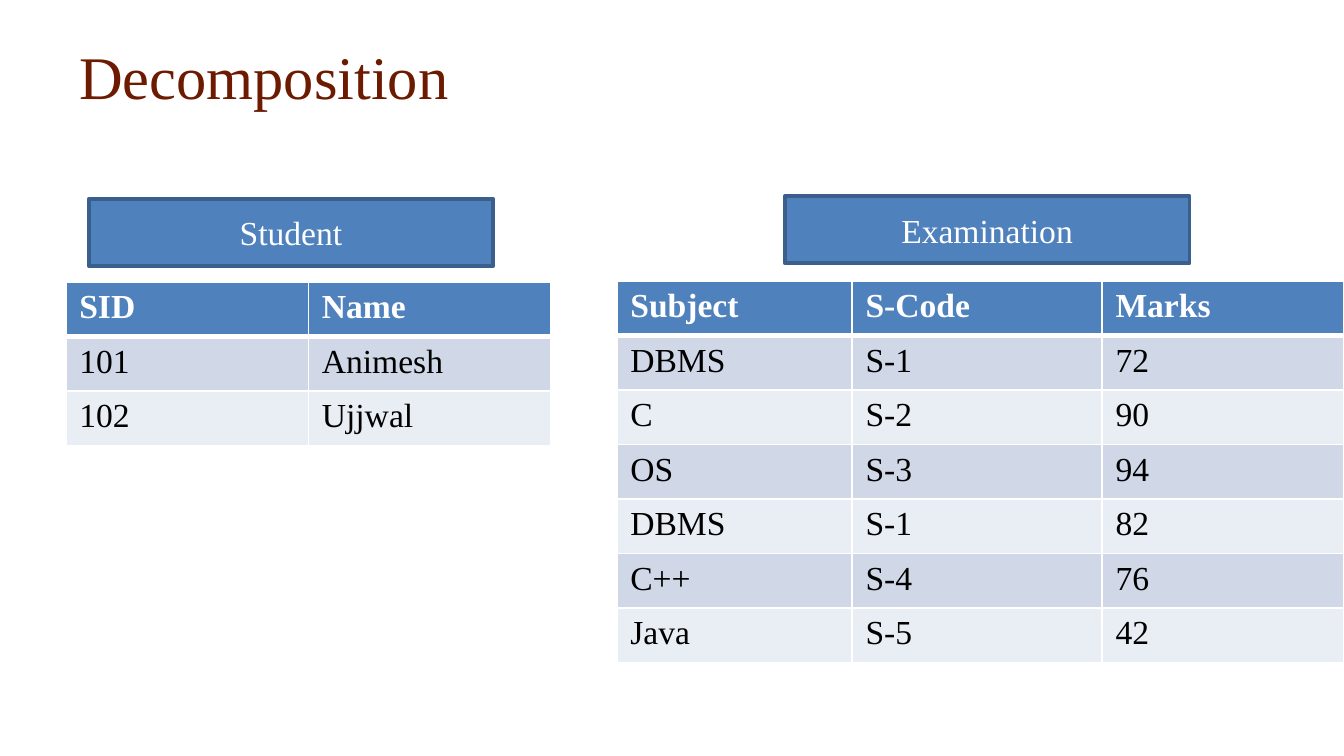
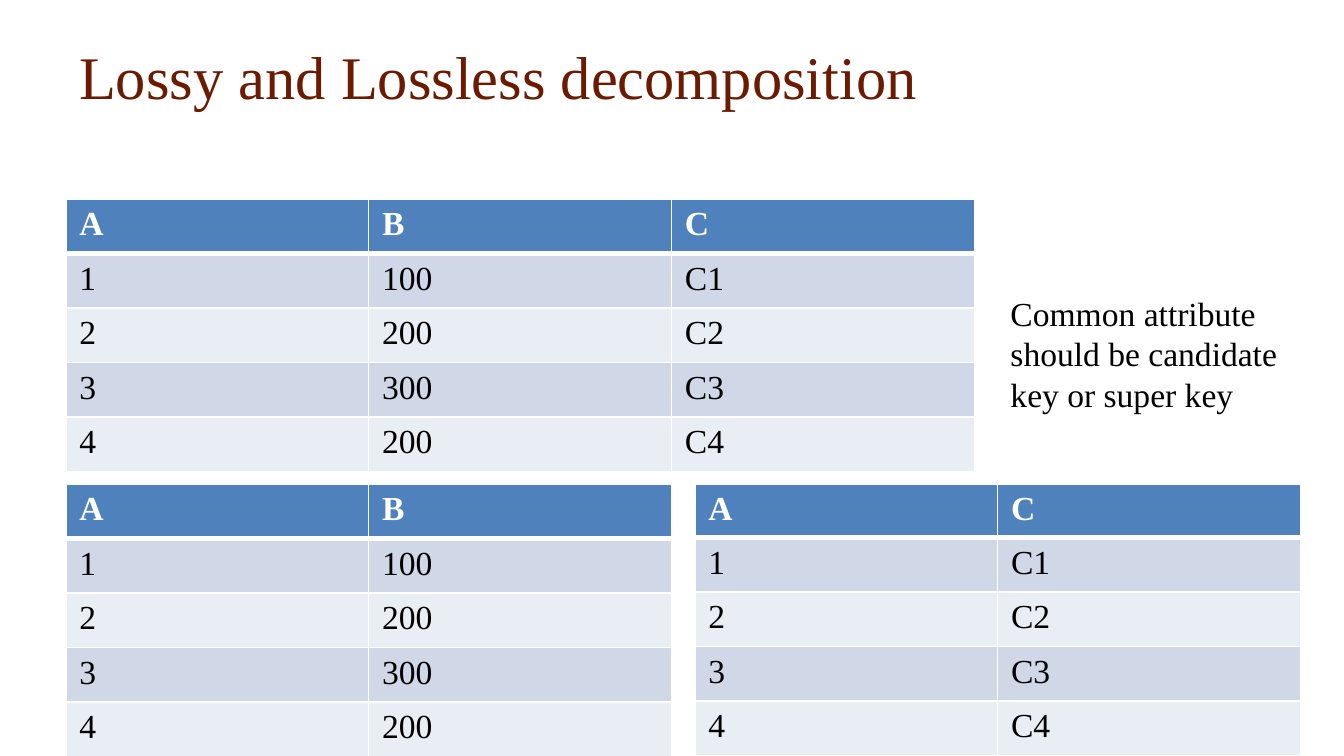
from lxml import etree
from pptx import Presentation
from pptx import util as u
from pptx.dml.color import RGBColor
from pptx.enum import shapes, text
from pptx.oxml.ns import qn

FONT = "Times New Roman"
BODY_SIZE = 18
WHITE, BLACK = "FFFFFF", "000000"
MAROON, BLUE, DARK_BLUE = "6C1A00", "4F81BD", "3A5F8C"
BANDS = ("D0D8E8", "E9EDF4")
SLIDE_WIDTH = 10
SLIDE_HEIGHT = SLIDE_WIDTH * 9 / 16
LEFT = 0.49
ROW_HEIGHT = 29.2 / 72

STUDENTS = [("SID", "Name"), ("101", "Animesh"), ("102", "Ujjwal")]
EXAMINATION = [
    ("Subject", "S-Code", "Marks"),
    ("DBMS", "S-1", "72"),
    ("C", "S-2", "90"),
    ("OS", "S-3", "94"),
    ("DBMS", "S-1", "82"),
    ("C++", "S-4", "76"),
    ("Java", "S-5", "42"),
]
RELATION = [
    ("A", "B", "C"),
    ("1", "100", "C1"),
    ("2", "200", "C2"),
    ("3", "300", "C3"),
    ("4", "200", "C4"),
]


def color(hex_code):
    return RGBColor.from_string(hex_code)


def box(left, top, width, height):
    return [u.Inches(length) for length in (left, top, width, height)]


def write(frame, words, ink, size=BODY_SIZE, bold=False, align=text.PP_ALIGN.LEFT):
    paragraph = frame.paragraphs[0]
    paragraph.alignment = align
    run = paragraph.add_run()
    run.text = words
    run.font.name = FONT
    run.font.size = u.Pt(size)
    run.font.bold = bold
    run.font.color.rgb = color(ink)


def add_text(slide, words, place, ink, size=BODY_SIZE, anchor=text.MSO_ANCHOR.TOP):
    frame = slide.shapes.add_textbox(*box(*place)).text_frame
    frame.word_wrap = True
    frame.vertical_anchor = anchor
    write(frame, words, ink, size)


def add_titled_slide(deck, title):
    slide = deck.slides.add_slide(deck.slide_layouts[6])
    add_text(slide, title, (LEFT, 0.14, 9.02, 0.84), MAROON, 32.4, text.MSO_ANCHOR.MIDDLE)
    return slide


def add_table_label(slide, name, left, top):
    label = slide.shapes.add_shape(shapes.MSO_SHAPE.RECTANGLE, *box(left, top, 3.01, 0.5))
    label.shadow.inherit = False
    label.fill.solid()
    label.fill.fore_color.rgb = color(BLUE)
    label.line.color.rgb = color(DARK_BLUE)
    label.line.width = u.Pt(2)
    label.text_frame.vertical_anchor = text.MSO_ANCHOR.MIDDLE
    write(label.text_frame, name, WHITE, align=text.PP_ALIGN.CENTER)


def set_borders(cell, top, bottom):
    properties = cell._tc.get_or_add_tcPr()
    for side, points in (("L", 1), ("R", 1), ("T", top), ("B", bottom)):
        border = etree.SubElement(properties, qn(f"a:ln{side}"), w=str(u.Pt(points)))
        fill = etree.SubElement(border, qn("a:solidFill"))
        etree.SubElement(fill, qn("a:srgbClr"), val=WHITE)


def add_relation(slide, rows, left, top, widths, header_height=ROW_HEIGHT):
    place = box(left, top, sum(widths), ROW_HEIGHT * len(rows))
    frame = slide.shapes.add_table(len(rows), len(widths), *place)
    table = frame.table
    for column, width in zip(table.columns, widths):
        column.width = u.Inches(width)
    for r, values in enumerate(rows):
        header = r == 0
        table.rows[r].height = u.Inches(header_height if header else ROW_HEIGHT)
        for c, value in enumerate(values):
            cell = table.cell(r, c)
            set_borders(cell, 3 if r == 1 else 1, 3 if header else 1)
            cell.fill.solid()
            cell.fill.fore_color.rgb = color(BLUE if header else BANDS[(r - 1) % 2])
            write(cell.text_frame, value, WHITE if header else BLACK, bold=header)
    frame.height = place[3]


def project(rows, *names):
    kept = [rows[0].index(name) for name in names]
    return [[row[i] for i in kept] for row in rows]


def build_decomposition(deck):
    slide = add_titled_slide(deck, "Decomposition")
    add_relation(slide, EXAMINATION, 4.59, 2.09, (1.75, 1.86, 1.8))
    add_table_label(slide, "Student", 0.66, 1.48)
    add_table_label(slide, "Examination", 5.84, 1.46)
    add_relation(slide, STUDENTS, LEFT, 2.1, [3.61 / 2] * 2)


def build_lossy_lossless(deck):
    slide = add_titled_slide(deck, "Lossy and Lossless decomposition")
    width = 6.76 / 3
    add_relation(slide, project(RELATION, "A", "B"), LEFT, 3.6, [width] * 2)
    add_relation(slide, project(RELATION, "A", "C"), 5.17, 3.6, [width] * 2, 0)
    add_text(slide, "Common attribute should be candidate key or super key",
             (7.42, 2.13, 2.25, 1.01), BLACK)
    add_relation(slide, RELATION, LEFT, 1.48, [width] * 3)


def main():
    deck = Presentation()
    deck.slide_width, deck.slide_height = u.Inches(SLIDE_WIDTH), u.Inches(SLIDE_HEIGHT)
    build_decomposition(deck)
    build_lossy_lossless(deck)
    deck.save("out.pptx")


if __name__ == "__main__":
    main()
